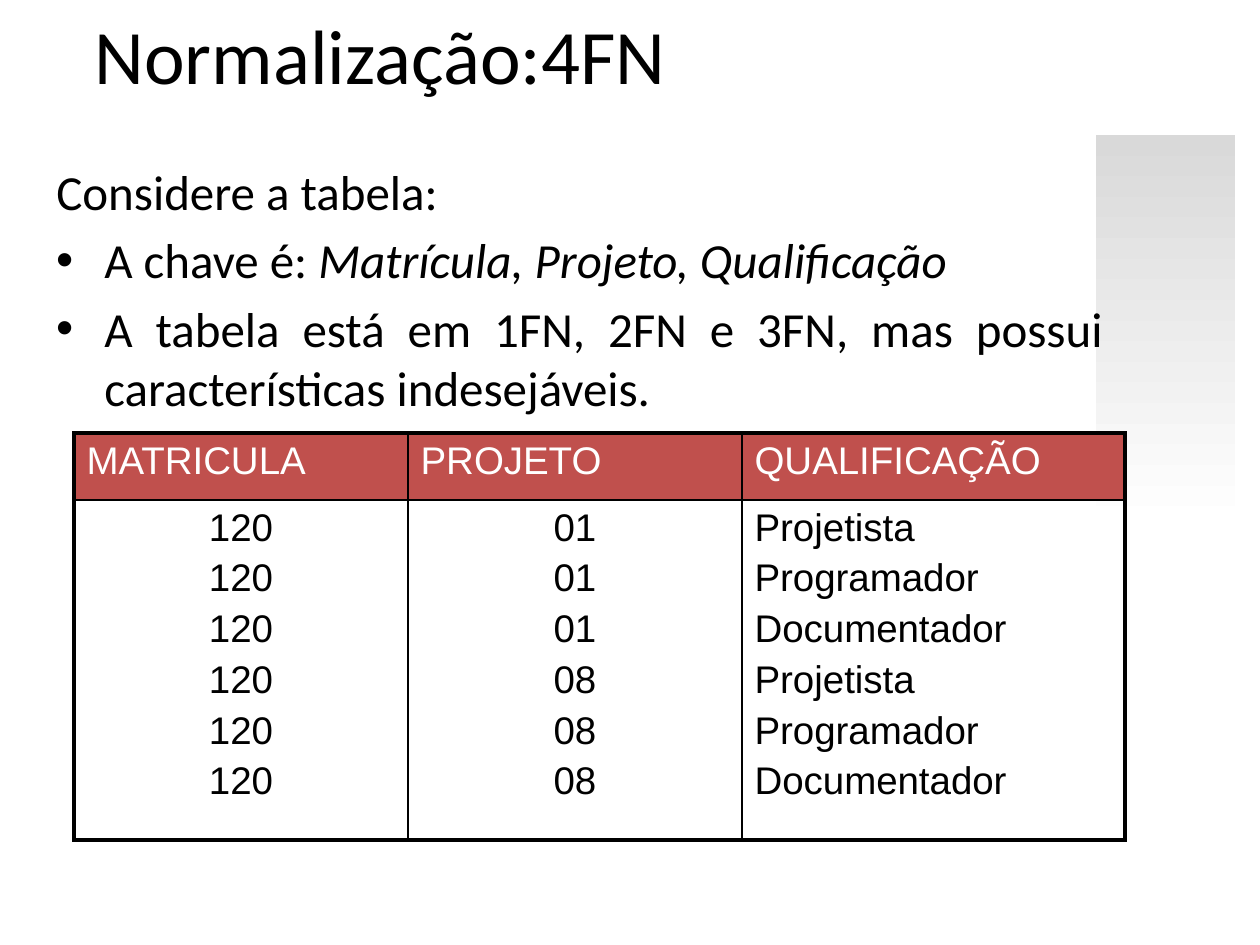
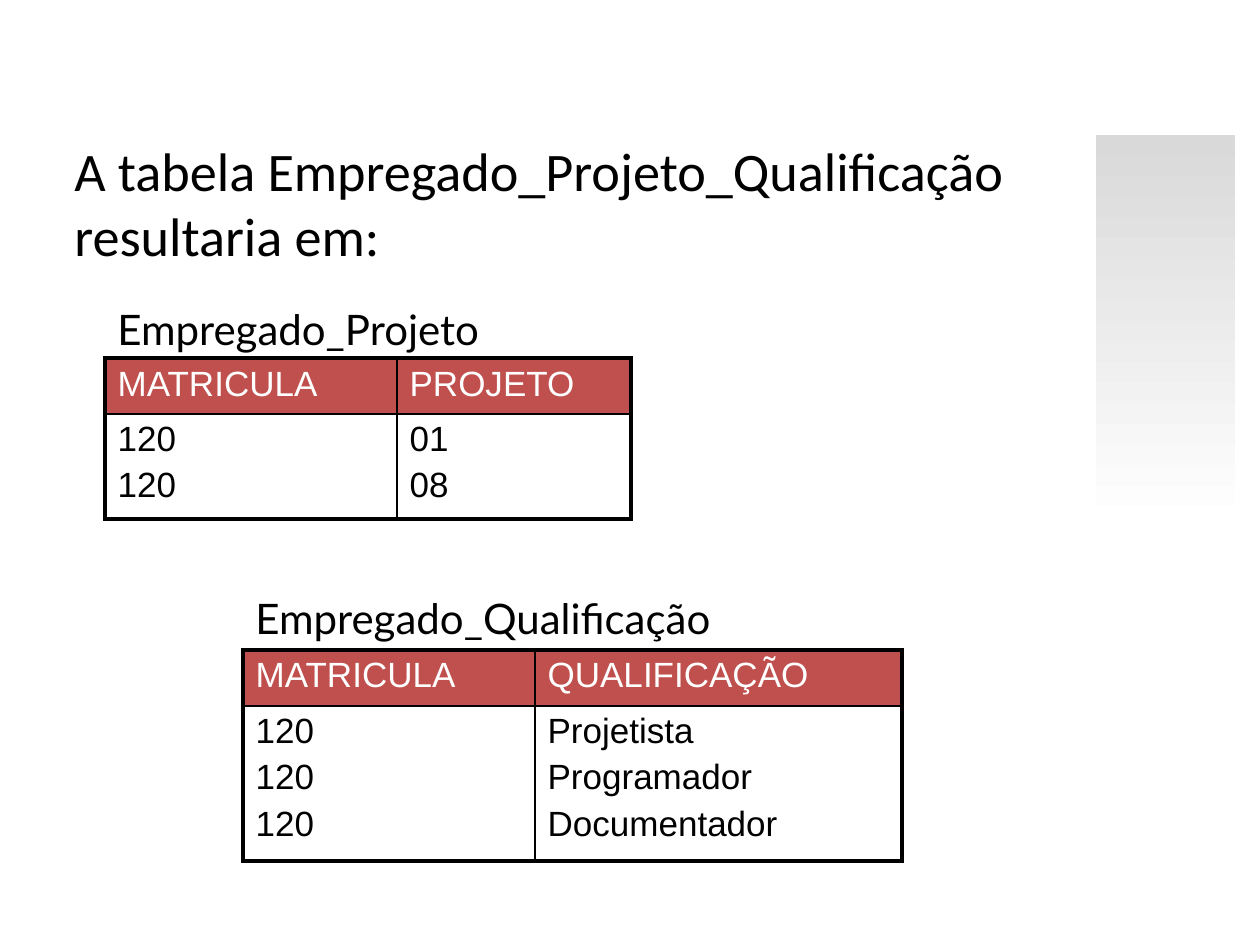
from lxml.etree import SubElement
from pptx import Presentation
from pptx.dml.color import RGBColor
from pptx.enum.shapes import MSO_SHAPE as Shape
from pptx.enum.text import MSO_ANCHOR as Anchor, PP_ALIGN as Align
from pptx.oxml import parse_xml
from pptx.oxml.ns import nsdecls, qn
from pptx.util import Pt

BLACK = RGBColor(0x00, 0x00, 0x00)
WHITE = RGBColor(0xFF, 0xFF, 0xFF)
GRAY = RGBColor(0xD9, 0xD9, 0xD9)
RED = RGBColor(0xC0, 0x50, 0x4D)

PX = 914400 / 126
TITLE_ONLY, BLANK = 5, 6
HANG = 48
OUTER, INNER = 2.25, 1

TITLE = "Normalização:4FN"
# Each paragraph: runs as (text, italic), bulleted, alignment
CONSIDER = [
    ([("Considere a tabela:", False)], False, Align.LEFT),
    ([("A chave é: ", False), ("Matrícula, Projeto, Qualificação", True)], True, Align.LEFT),
    ([("A tabela está em 1FN, 2FN e 3FN, mas possui características indesejáveis.", False)],
     True, Align.JUSTIFY),
]
RESULT = "A tabela Empregado_Projeto_Qualificação resultaria em:"
ROLES = ["Projetista", "Programador", "Documentador"]

# Columns: heading, width, values, alignment of the values
FULL_TABLE = dict(
    left=74, top=433, rows=(67, 340), size=22,
    columns=[("MATRICULA", 334, ["120"] * 6, Align.CENTER),
             ("PROJETO", 334, ["01"] * 3 + ["08"] * 3, Align.CENTER),
             ("QUALIFICAÇÃO", 383, ROLES * 2, Align.JUSTIFY)])
SPLIT_TABLES = [
    (("Empregado_Projeto", 105, 297, 391, 63),
     dict(left=105, top=358, rows=(56, 105), size=20,
          columns=[("MATRICULA", 292, ["120"] * 2, Align.JUSTIFY),
                   ("PROJETO", 234, ["01", "08"], Align.JUSTIFY)])),
    (("Empregado_Qualificação", 243, 586, 486, 64),
     dict(left=243, top=650, rows=(56, 155), size=20,
          columns=[("MATRICULA", 292, ["120"] * 3, Align.JUSTIFY),
                   ("QUALIFICAÇÃO", 367, ROLES, Align.JUSTIFY)])),
]


def px(*lengths):
    return [round(length * PX) for length in lengths]


def set_font(paragraph, name, size, color=BLACK):
    font = paragraph.font
    font.name, font.size, font.color.rgb = name, Pt(size), color


def paragraphs(frame, count):
    """Return the frame's first paragraph and as many new ones as needed."""
    return [frame.paragraphs[0]] + [frame.add_paragraph() for _ in range(count - 1)]


def new_slide(presentation, layout):
    """Add a slide with the fading band at its right edge."""
    slide = presentation.slides.add_slide(presentation.slide_layouts[layout])
    band = slide.shapes.add_shape(Shape.RECTANGLE, *px(1096, 135, 139, 784))
    band.shadow.inherit = False
    band.line.fill.background()
    band.fill.gradient()
    band.fill.gradient_angle = 270
    for stop, color, position in zip(band.fill.gradient_stops, (GRAY, WHITE), (0, 0.5)):
        stop.color.rgb, stop.position = color, position
    return slide


def add_text(slide, box, wrap=True):
    frame = slide.shapes.add_textbox(*px(*box)).text_frame
    frame.word_wrap = wrap
    return frame


def indent(paragraph, bulleted, first_line):
    properties = paragraph._p.get_or_add_pPr()
    properties.set("marL", str(px(HANG)[0]))
    properties.set("indent", str(px(first_line)[0]))
    if bulleted:
        SubElement(properties, qn("a:buFont"), typeface="Arial")
        SubElement(properties, qn("a:buChar"), char="•")


def set_borders(cell, widths):
    """Draw black borders; widths are in the order left, right, top, bottom."""
    properties = cell._tc.get_or_add_tcPr()
    for index, (side, width) in enumerate(zip("LRTB", widths)):
        properties.insert(index, parse_xml(
            f'<a:ln{side} {nsdecls("a")} w="{Pt(width)}"><a:solidFill>'
            f'<a:srgbClr val="{BLACK}"/></a:solidFill></a:ln{side}>'))


def fill_cell(cell, lines, size, color, align):
    for paragraph, line in zip(paragraphs(cell.text_frame, len(lines)), lines):
        paragraph.text = line
        paragraph.alignment = align
        paragraph.space_before = Pt(size * 0.2)
        set_font(paragraph, "Arial", size, color)


def add_data_table(slide, left, top, rows, size, columns):
    width = sum(column[1] for column in columns)
    table = slide.shapes.add_table(
        2, len(columns), *px(left, top, width, sum(rows))).table
    table.horz_banding = table.first_row = False
    for row, height in zip(table.rows, px(*rows)):
        row.height = height
    last = len(columns) - 1
    for index, (heading, column_width, values, align) in enumerate(columns):
        table.columns[index].width = px(column_width)[0]
        header, body = table.cell(0, index), table.cell(1, index)
        header.fill.solid()
        header.fill.fore_color.rgb = RED
        body.fill.background()
        fill_cell(header, [heading], size, WHITE, Align.LEFT)
        fill_cell(body, values, size, BLACK, align)
        sides = (OUTER if index == 0 else INNER, OUTER if index == last else INNER)
        set_borders(header, sides + (OUTER, INNER))
        set_borders(body, sides + (INNER, OUTER))


def build_full_table_slide(presentation):
    slide = new_slide(presentation, TITLE_ONLY)
    title = slide.shapes.title
    title.left, title.top, title.width, title.height = px(-155, -3, 1071, 158)
    title.text_frame.text = TITLE
    title.text_frame.vertical_anchor = Anchor.TOP
    title.text_frame.margin_top = px(10)[0]
    heading = title.text_frame.paragraphs[0]
    heading.alignment = Align.CENTER
    set_font(heading, "Calibri", 44)

    frame = add_text(slide, (44, 155, 1071, 567))
    for paragraph, (runs, bulleted, align) in zip(paragraphs(frame, len(CONSIDER)), CONSIDER):
        for text, italic in runs:
            run = paragraph.add_run()
            run.text, run.font.italic = text, italic
        paragraph.alignment = align
        paragraph.space_before = Pt(5.6)
        indent(paragraph, bulleted, -HANG)
        set_font(paragraph, "Calibri", 28)
    add_data_table(slide, **FULL_TABLE)


def build_split_tables_slide(presentation):
    slide = new_slide(presentation, BLANK)
    paragraph = add_text(slide, (14, 131, 1194, 814)).paragraphs[0]
    paragraph.text = RESULT
    indent(paragraph, False, 0)
    set_font(paragraph, "Calibri", 31)
    for (name, *box), table in SPLIT_TABLES:
        add_data_table(slide, **table)
        label = add_text(slide, box, wrap=False).paragraphs[0]
        label.text = name
        set_font(label, "Lato", 24)


def main():
    presentation = Presentation()
    presentation.slide_width, presentation.slide_height = px(1260, 945)
    build_full_table_slide(presentation)
    build_split_tables_slide(presentation)
    presentation.save("out.pptx")


if __name__ == "__main__":
    main()
